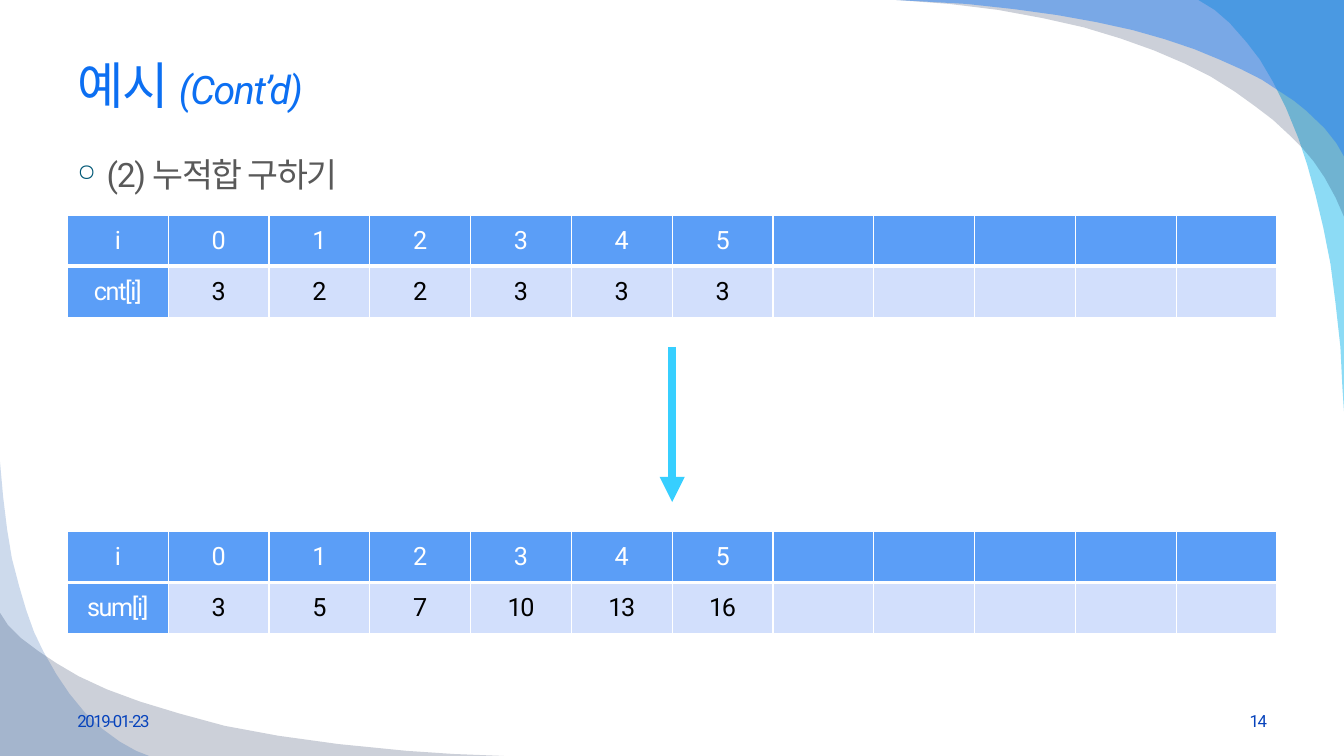
from lxml import etree
from pptx import Presentation
from pptx.dml.color import RGBColor
from pptx.enum.shapes import MSO_CONNECTOR
from pptx.enum.text import MSO_ANCHOR, MSO_AUTO_SIZE, PP_ALIGN
from pptx.oxml.ns import qn
from pptx.util import Cm, Pt

LEFT, CENTER, RIGHT = PP_ALIGN.LEFT, PP_ALIGN.CENTER, PP_ALIGN.RIGHT
TOP, MIDDLE = MSO_ANCHOR.TOP, MSO_ANCHOR.MIDDLE
STRAIGHT = MSO_CONNECTOR.STRAIGHT
NO_FIT = MSO_AUTO_SIZE.NONE

FONT = "Roboto"
WIDTH, HEIGHT = 33.87, 19.05
MARGIN, CONTENT_WIDTH = 1.7, 30.48
COLUMNS, ROW_HEIGHT = 12, 1.29
HEADER_FILL, VALUE_FILL = "5B9EF7", "D2DFFC"
WHITE, BLACK = "FFFFFF", "000000"

TOP_RIGHT, BOTTOM_LEFT = (WIDTH, 0), (0, HEIGHT)
SWEEPS = [
    ("00B1E9", 45, TOP_RIGHT, [
        (30.2, 0), (30.61, 0.25), (30.99, 0.58), (31.42, 1.07), (31.75, 1.5),
        (32.08, 2.06), (32.41, 2.72), (32.72, 3.48), (32.94, 4.14), (33.15, 4.9),
        (33.35, 5.74), (33.53, 6.65), (33.66, 7.65), (33.78, 8.74), (33.83, 9.75),
        (WIDTH, 10.36)]),
    ("021741", 20, TOP_RIGHT, [
        (22.58, 0), (23.93, 0.1), (25.15, 0.25), (26.29, 0.46), (27.31, 0.69),
        (28.24, 0.97), (29.08, 1.27), (29.85, 1.6), (30.51, 1.93), (31.12, 2.31),
        (31.62, 2.67), (32.08, 3.02), (32.49, 3.4), (32.82, 3.73), (33.1, 4.06),
        (33.38, 4.47), (33.66, 4.98), (WIDTH, 5.46)]),
    ("247FF4", 49, TOP_RIGHT, [
        (22.58, 0), (24.36, 0.1), (25.55, 0.23), (26.64, 0.38), (27.64, 0.56),
        (28.55, 0.76), (29.36, 0.99), (30.1, 1.24), (30.73, 1.5), (31.29, 1.75),
        (31.8, 2.01), (32.23, 2.29), (32.61, 2.54), (32.92, 2.79), (33.38, 3.23),
        (33.68, 3.61), (WIDTH, 3.94)]),
    ("021741", 20, BOTTOM_LEFT, [
        (0, 15.44), (0.2, 15.75), (0.53, 16.08), (0.97, 16.41), (1.42, 16.71),
        (1.98, 17.04), (2.69, 17.37), (3.53, 17.68), (4.52, 17.98), (5.66, 18.29),
        (7.01, 18.54), (8.53, 18.75), (10.24, 18.92), (11.43, 19), (12.7, HEIGHT)]),
    ("084AA1", 20, BOTTOM_LEFT, [
        (0, 11.63), (0.08, 12.52), (0.18, 13.34), (0.3, 14.07), (0.48, 14.76),
        (0.66, 15.37), (0.86, 15.93), (1.09, 16.41), (1.42, 16.99), (1.75, 17.48),
        (2.16, 17.98), (2.57, 18.36), (3.02, 18.69), (3.43, 18.92), (3.76, HEIGHT)]),
]


def rgb(value):
    """Turn a hex string into a colour."""
    return RGBColor.from_string(value)


def add_run(p, text, size, color, italic=None):
    """Add one run with tightened letter spacing."""
    r = p.add_run()
    r.text = text
    r.font.name = FONT
    r.font.size = Pt(size)
    r.font.italic = italic
    r.font.color.rgb = rgb(color)
    r.font._element.set("spc", "-100")


def add_sweep(s, color, opacity, corner, curve):
    """Draw a translucent area between a slide corner and a curve."""
    points = [(Cm(x), Cm(y)) for x, y in [corner] + curve]
    builder = s.shapes.build_freeform(*points[0])
    builder.add_line_segments(points[1:], close=True)
    sp = builder.convert_to_shape()
    sp.shadow.inherit = False
    sp.line.fill.background()
    sp.fill.solid()
    sp.fill.fore_color.rgb = rgb(color)
    clr = sp._element.spPr.find(".//" + qn("a:srgbClr"))
    etree.SubElement(clr, qn("a:alpha"), val=str(opacity * 1000))


def format_title(s):
    """Place and fill the title."""
    sp = s.shapes.title
    sp.left, sp.top, sp.width, sp.height = Cm(MARGIN), Cm(0.84), Cm(CONTENT_WIDTH), Cm(2.57)
    tf = sp.text_frame
    tf.auto_size = NO_FIT
    tf.vertical_anchor = MIDDLE
    p = tf.paragraphs[0]
    p.alignment = LEFT
    add_run(p, "예시 ", 36, "0C6FF2")
    add_run(p, "(Cont’d)", 28, "0C6FF2", italic=True)


def add_text(s, box, text, size, color, align=LEFT, anchor=MIDDLE):
    """Add a one-line text box and return its paragraph."""
    tf = s.shapes.add_textbox(*map(Cm, box)).text_frame
    tf.word_wrap = True
    tf.vertical_anchor = anchor
    p = tf.paragraphs[0]
    p.alignment = align
    add_run(p, text, size, color)
    return p


def set_bullet(p, char, color, percent, indent):
    """Give a paragraph a coloured bullet with a hanging indent."""
    pPr = p._p.get_or_add_pPr()
    pPr.set("marL", str(Cm(indent)))
    pPr.set("indent", str(-Cm(indent)))
    clr = etree.SubElement(pPr, qn("a:buClr"))
    etree.SubElement(clr, qn("a:srgbClr"), val=color)
    etree.SubElement(pPr, qn("a:buSzPct"), val=str(percent * 1000))
    etree.SubElement(pPr, qn("a:buChar"), char=char)


def set_borders(cell, bottom):
    """Give a cell white borders, the bottom one of its own width."""
    tcPr = cell._tc.get_or_add_tcPr()
    for i, (side, width) in enumerate(zip("LRTB", (1, 1, 1, bottom))):
        ln = etree.Element(qn("a:ln" + side), w=str(Pt(width)))
        fill = etree.SubElement(ln, qn("a:solidFill"))
        etree.SubElement(fill, qn("a:srgbClr"), val=WHITE)
        tcPr.insert(i, ln)


def add_array_table(s, top, name, values):
    """Add a table with an index row over a row of array values."""
    rows = [["i"] + [str(i) for i in range(len(values))], [name] + [str(v) for v in values]]
    table = s.shapes.add_table(len(rows), COLUMNS, Cm(MARGIN), Cm(top), Cm(CONTENT_WIDTH),
                               Cm(ROW_HEIGHT * len(rows))).table
    table.first_row = table.horz_banding = False
    for i, texts in enumerate(rows):
        for j in range(COLUMNS):
            header = i == 0 or j == 0
            cell = table.cell(i, j)
            cell.fill.solid()
            cell.fill.fore_color.rgb = rgb(HEADER_FILL if header else VALUE_FILL)
            cell.vertical_anchor = MIDDLE
            set_borders(cell, 3 if i == 0 else 1)
            if j < len(texts):
                p = cell.text_frame.paragraphs[0]
                p.alignment = CENTER
                add_run(p, texts[j], 18, WHITE if header else BLACK)


def add_down_arrow(s, x, top, bottom):
    """Add a thick arrow that points down."""
    line = s.shapes.add_connector(STRAIGHT, Cm(x), Cm(top), Cm(x), Cm(bottom))
    line.line.color.rgb = rgb("37CFFF")
    line.line.width = Pt(6)
    etree.SubElement(line.line._get_or_add_ln(), qn("a:tailEnd"), type="triangle")
    etree.SubElement(line._element.spPr, qn("a:effectLst"))


def main():
    """Build the slide and save it."""
    prs = Presentation()
    prs.slide_width, prs.slide_height = Cm(WIDTH), Cm(HEIGHT)
    s = prs.slides.add_slide(prs.slide_layouts[5])
    for sweep in SWEEPS:
        add_sweep(s, *sweep)
    format_title(s)
    p = add_text(s, (MARGIN, 3.76, CONTENT_WIDTH, 1.5), "(2) 누적합 구하기", 24, "595959", anchor=TOP)
    set_bullet(p, "○", "005876", 70, 0.74)
    add_text(s, (MARGIN, 17.65, 7.9, 1.02), "2019-01-23", 12, "0743BC")
    add_text(s, (24.28, 17.65, 7.9, 1.02), "14", 12, "0743BC", align=RIGHT)
    add_array_table(s, 5.42, "cnt[i]", [3, 2, 2, 3, 3, 3])
    add_down_arrow(s, 16.94, 8.74, 12.65)
    add_array_table(s, 13.39, "sum[i]", [3, 5, 7, 10, 13, 16])
    prs.save("out.pptx")


if __name__ == "__main__":
    main()
